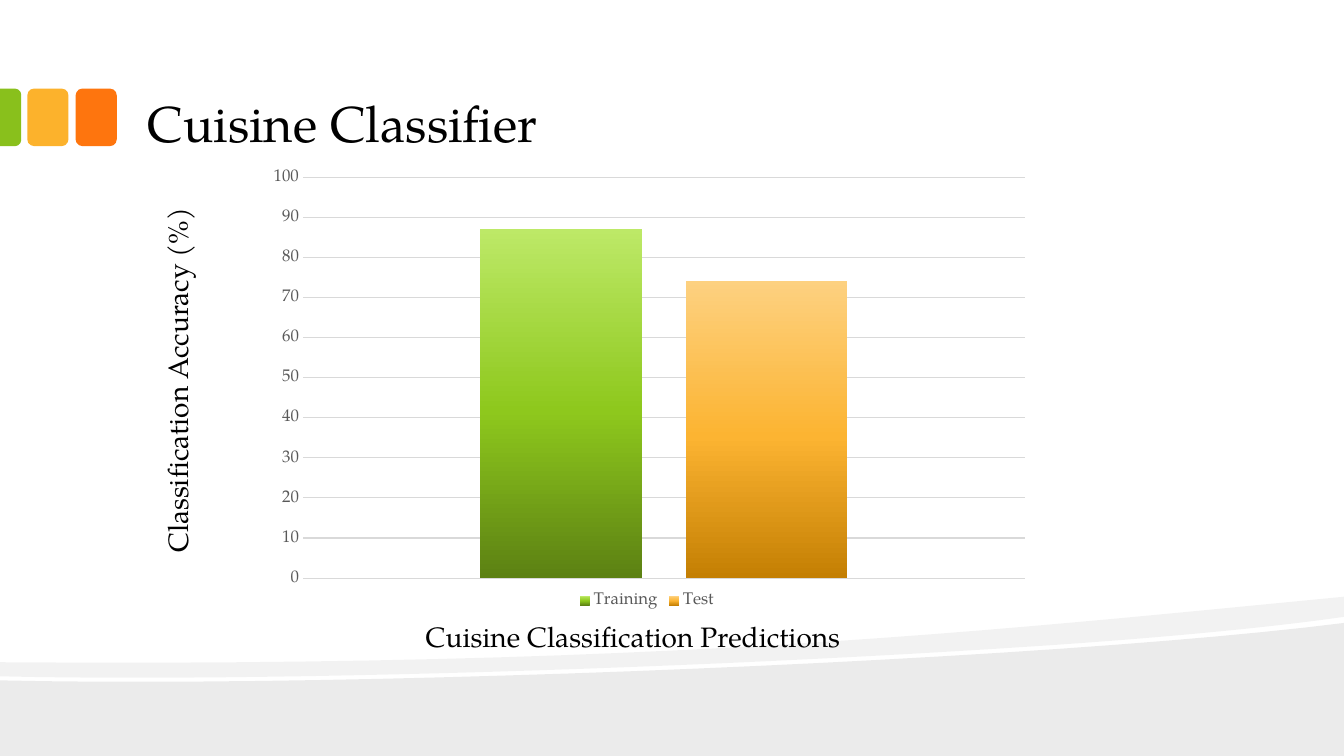
import pptx
import pptx.chart.data
import pptx.dml.color
import pptx.enum.chart
import pptx.enum.shapes
import pptx.enum.text
import pptx.oxml
import pptx.oxml.ns
import pptx.util
from lxml import etree

COLORS = {
    "text": "000000", "axis": "595959", "grid": "D9D9D9",
    "green": "89C01C", "amber": "FCB22C", "orange": "FE750E",
}
GRADIENTS = {
    "Training": ((0, "5C8113"), (48, "8EC81D"), (100, "BDE967")),
    "Test": ((0, "C47F03"), (48, "FCB432"), (100, "FDD180")),
}
ACCURACY = {"Training": 87, "Test": 74}
FONT = "TeX Gyre Pagella"
WIDTH, HEIGHT = pptx.util.Inches(13.33), pptx.util.Inches(7.5)
COLUMNS, ROWS = 160, 90
ANCHOR = pptx.enum.text.MSO_ANCHOR
SHAPE = pptx.enum.shapes.MSO_SHAPE
qn = pptx.oxml.ns.qn


def area(left, top, width, height):
    """Turn grid columns and rows into slide lengths."""
    return (round(left * WIDTH / COLUMNS), round(top * HEIGHT / ROWS),
            round(width * WIDTH / COLUMNS), round(height * HEIGHT / ROWS))


def rgb(name):
    return pptx.dml.color.RGBColor.from_string(COLORS[name])


def style_font(font, size, color):
    font.name = FONT
    font.size = pptx.util.Pt(size)
    font.color.rgb = rgb(color)


def write_text(box, text, size=20, color="text", anchor=ANCHOR.TOP,
               margins=(0.1, 0.05), direction=None):
    frame = box.text_frame
    frame.word_wrap = True
    frame.vertical_anchor = anchor
    frame.margin_left = frame.margin_right = pptx.util.Inches(margins[0])
    frame.margin_top = frame.margin_bottom = pptx.util.Inches(margins[1])
    if direction:
        frame._txBody.bodyPr.set("vert", direction)
    para = frame.paragraphs[0]
    para.alignment = pptx.enum.text.PP_ALIGN.LEFT
    span = para.add_run()
    span.text = text
    style_font(span.font, size, color)


def paint(shape, color):
    shape.shadow.inherit = False
    shape.fill.solid()
    shape.fill.fore_color.rgb = rgb(color)
    shape.line.fill.background()


def add_tile(page, kind, place, color, rotation=0):
    tile = page.shapes.add_shape(kind, *area(*place))
    tile.rotation = rotation
    paint(tile, color)
    return tile


def curve(start, first, second, end, steps=24):
    """Points along a cubic Bezier curve."""
    points = []
    for step in range(steps + 1):
        t = step / steps
        weights = ((1 - t) ** 3, 3 * t * (1 - t) ** 2, 3 * t * t * (1 - t), t ** 3)
        controls = (start, first, second, end)
        points.append(tuple(sum(w * c[axis] for w, c in zip(weights, controls))
                            for axis in (0, 1)))
    return points


def add_wave(page, points, opacity):
    """Draw a see-through outline whose points are in inches."""
    points = [(pptx.util.Inches(x), pptx.util.Inches(y)) for x, y in points]
    builder = page.shapes.build_freeform(*points[0])
    builder.add_line_segments(points[1:], close=True)
    wave = builder.convert_to_shape()
    paint(wave, "text")
    color = wave._element.spPr.find(qn("a:solidFill"))[0]
    etree.SubElement(color, qn("a:alpha"), val=str(opacity * 1000))


def fill_gradient(series, stops):
    fill = series.format.fill
    fill.gradient()
    fill.gradient_angle = 90
    stop_list = next(series._element.iter(qn("a:gsLst")))
    for stop in list(stop_list):
        stop_list.remove(stop)
    for position, color in stops:
        stop = etree.SubElement(stop_list, qn("a:gs"), pos=str(position * 1000))
        etree.SubElement(stop, qn("a:srgbClr"), val=color)


def place_plot(chart, **shares):
    """Fix the inner plot area as shares of the chart's size."""
    plot_area = chart._chartSpace.chart.plotArea
    for old in plot_area.findall(qn("c:layout")):
        plot_area.remove(old)
    layout = pptx.oxml.parse_xml(f"<c:layout {pptx.oxml.ns.nsdecls('c')}/>")
    plot_area.insert(0, layout)
    manual = etree.SubElement(layout, qn("c:manualLayout"))
    settings = {"layoutTarget": "inner", "xMode": "edge", "yMode": "edge", **shares}
    for name, value in settings.items():
        etree.SubElement(manual, qn(f"c:{name}"), val=str(value))


def add_accuracy_chart(page, place):
    data = pptx.chart.data.CategoryChartData()
    data.categories = ["1"]
    for name, value in ACCURACY.items():
        data.add_series(name, [value])
    kind = pptx.enum.chart.XL_CHART_TYPE.COLUMN_CLUSTERED
    chart = page.shapes.add_chart(kind, *area(*place), data).chart
    chart.has_title = False
    style_font(chart.font, 10, "text")
    place_plot(chart, x=0.055, y=0.039, w=0.934, h=0.884)

    plot = chart.plots[0]
    plot.gap_width, plot.overlap = 219, -27
    plot.vary_by_categories = False
    for series in plot.series:
        fill_gradient(series, GRADIENTS[series.name])

    chart.category_axis.visible = False
    axis = chart.value_axis
    axis.minimum_scale, axis.maximum_scale, axis.major_unit = 0, 100, 10
    axis.major_tick_mark = axis.minor_tick_mark = pptx.enum.chart.XL_TICK_MARK.NONE
    axis.format.line.fill.background()
    axis.tick_labels.number_format = "#,##0"
    axis.tick_labels.number_format_is_linked = False
    style_font(axis.tick_labels.font, 12, "axis")
    grid_line = axis.major_gridlines.format.line
    grid_line.color.rgb = rgb("grid")
    grid_line.width = pptx.util.Pt(0.75)

    chart.has_legend = True
    chart.legend.position = pptx.enum.chart.XL_LEGEND_POSITION.BOTTOM
    chart.legend.include_in_layout = False
    style_font(chart.legend.font, 12, "axis")


def add_waves(page):
    add_wave(page, [(13.33, 7.5), (0, 7.5)]
             + curve((0, 6.75), (3.52, 6.83), (10.42, 6.55), (13.33, 6.18)), 8)
    add_wave(page, curve((13.33, 6.12), (12.56, 6.23), (11.49, 6.33), (10.29, 6.41))
             + curve((10.29, 6.41), (6.98, 6.63), (2.58, 6.77), (0, 6.71))[1:]
             + curve((0, 6.57), (6.52, 6.62), (9.71, 6.27), (13.33, 5.92)), 5)


def add_tiles(page):
    for index, color in enumerate(("amber", "orange")):
        add_tile(page, SHAPE.ROUNDED_RECTANGLE,
                 (3.25 + 5.75 * index, 10.55, 4.9, 6.85), color)
    edge = add_tile(page, SHAPE.ROUND_2_SAME_RECTANGLE,
                    (-2.15, 12.73, 6.85, 2.5), "green", rotation=90)
    edge.adjustments[0] = 0.29


def main():
    deck = pptx.Presentation()
    deck.slide_width, deck.slide_height = WIDTH, HEIGHT
    page = deck.slides.add_slide(deck.slide_layouts[5])
    add_waves(page)
    add_tiles(page)

    title = page.shapes.title
    title.left, title.top, title.width, title.height = area(16, 2, 128, 17)
    write_text(title, "Cuisine Classifier", size=36, anchor=ANCHOR.BOTTOM,
               margins=(0.13, 0.07))
    add_accuracy_chart(page, (31, 19, 92, 54))
    write_text(page.shapes.add_textbox(*area(18.5, 23, 6.5, 44)),
               "Classification Accuracy (%)", direction="vert270")
    write_text(page.shapes.add_textbox(*area(49.5, 73.2, 55, 6.5)),
               "Cuisine Classification Predictions")
    deck.save("out.pptx")


if __name__ == "__main__":
    main()
